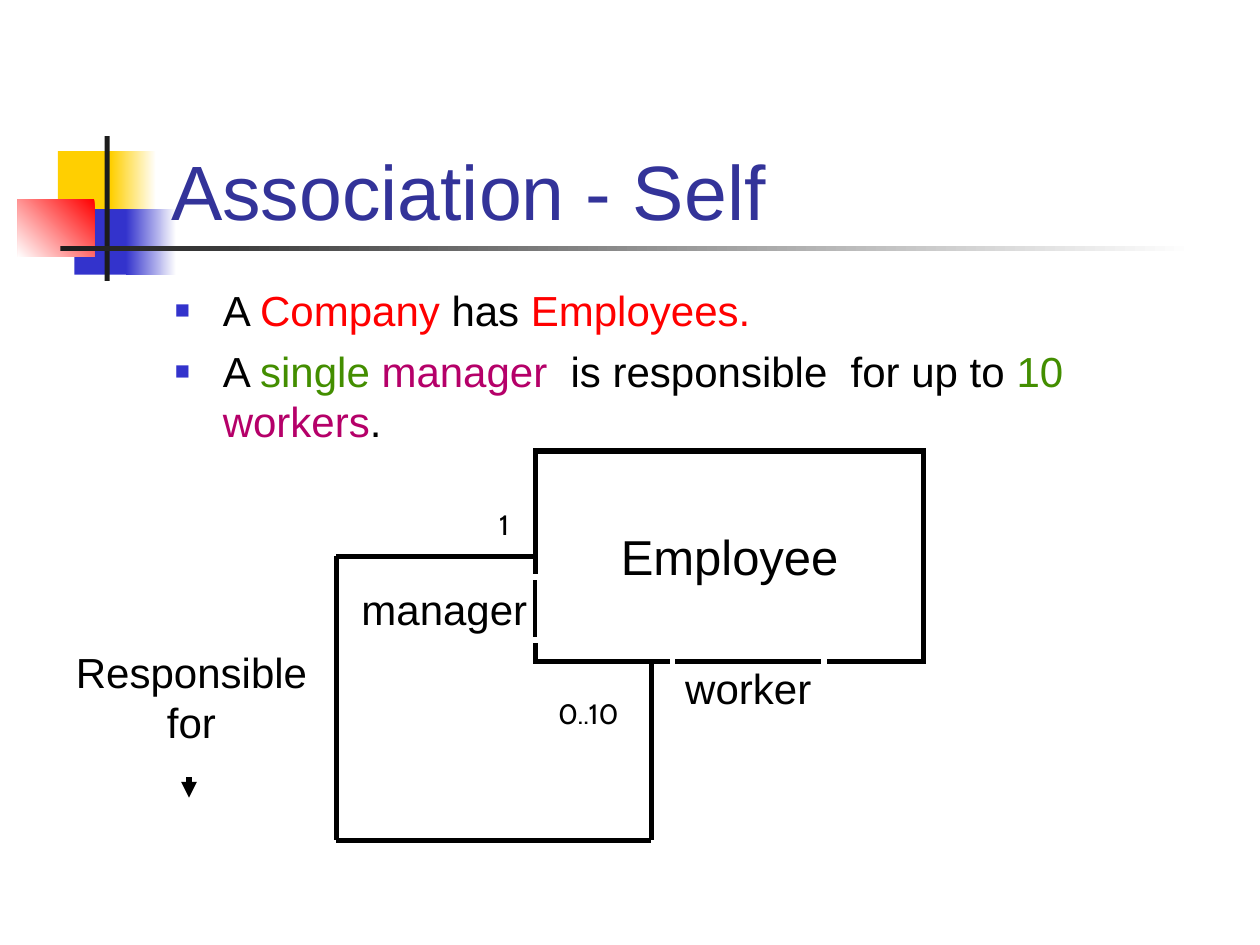
from lxml import etree
from pptx import Presentation
from pptx.dml.color import RGBColor
from pptx.enum import shapes, text
from pptx.oxml.ns import qn
from pptx.util import Inches, Pt

BLACK, WHITE, RED = "000000", "FFFFFF", "FF0000"
BLUE, GOLD, DARK = "3333CC", "FFCF01", "1C1C1C"
GREEN, PINK = "438E00", "B50069"
MID, LEFT = text.PP_ALIGN.CENTER, text.PP_ALIGN.LEFT


def rgb(code):
    return RGBColor.from_string(code)


def add(parent, tag, **attrs):
    return etree.SubElement(parent, qn(tag), attrs)


def style(font, size, color, face="Arial"):
    font.size, font.name = Pt(size), face
    font.color.rgb = rgb(color)


def rect(slide, box, fill=None, line=None):
    """Add a rectangle; a pair of fill colours makes a left-to-right fade."""
    shape = slide.shapes.add_shape(
        shapes.MSO_SHAPE.RECTANGLE, *map(Inches, box))
    shape.shadow.inherit = False
    if fill is None:
        shape.fill.background()
    elif isinstance(fill, tuple):
        shape.fill.gradient()
        shape.fill.gradient_angle = 0
        for stop, color in zip(shape.fill.gradient_stops, fill):
            stop.color.rgb = rgb(color)
    else:
        shape.fill.solid()
        shape.fill.fore_color.rgb = rgb(fill)
    if line:
        shape.line.color.rgb = rgb(line)
        shape.line.width = Pt(3)
        add(shape.line._get_or_add_ln(), "a:miter", lim="800000")
    else:
        shape.line.fill.background()
    return shape


def textbox(slide, box):
    return slide.shapes.add_textbox(*map(Inches, box))


def write(shape, words, size, color=BLACK, face="Arial", align=MID,
          anchor=text.MSO_ANCHOR.TOP, wrap=False, grow=True):
    frame = shape.text_frame
    frame.text = words
    frame.word_wrap = wrap
    frame.vertical_anchor = anchor
    if grow:
        frame.auto_size = text.MSO_AUTO_SIZE.SHAPE_TO_FIT_TEXT
    for para in frame.paragraphs:
        para.alignment = align
        for run in para.runs:
            style(run.font, size, color, face)


def line(slide, start, end):
    link = slide.shapes.add_connector(
        shapes.MSO_CONNECTOR.STRAIGHT, *map(Inches, start + end))
    link.line.color.rgb = rgb(BLACK)
    link.line.width = Pt(3)
    add(link._element.spPr, "a:effectLst")
    return link


def emblem(slide, x, y):
    """Overlapping colour blocks with a cross of thin bars."""
    rect(slide, (x + 0.32, y + 0.12, 0.48, 0.52), GOLD)
    rect(slide, (x + 0.74, y + 0.12, 0.36, 0.52), (GOLD, WHITE))
    rect(slide, (x + 0.45, y + 0.58, 0.46, 0.52), BLUE)
    rect(slide, (x + 0.86, y + 0.58, 0.4, 0.52), (BLUE, WHITE))
    red = rect(slide, (x, y + 0.5, 0.61, 0.46), (RED, WHITE))
    red.fill.gradient_angle = 225
    rect(slide, (x + 0.69, y, 0.04, 1.15), DARK)
    rect(slide, (x + 0.34, y + 0.87, 9, 0.04), (DARK, WHITE))


def title(slide, box):
    write(textbox(slide, box), "Association - Self", 44, "333399", align=LEFT,
          anchor=text.MSO_ANCHOR.BOTTOM, wrap=True, grow=False)


def bullet(para):
    props = para._p.get_or_add_pPr()
    props.set("marL", str(Inches(0.38)))
    props.set("indent", str(-Inches(0.38)))
    add(add(props, "a:buClr"), "a:srgbClr", val=BLUE)
    add(props, "a:buSzPct", val="60000")
    add(props, "a:buFont", typeface="Arial")
    add(props, "a:buChar", char="■")


def body(slide, box):
    items = [
        [("A ", BLACK), ("Company ", RED), ("has ", BLACK),
         ("Employees.", RED)],
        [("A ", BLACK), ("single ", GREEN), ("manager  ", PINK),
         ("is responsible  for up to ", BLACK), ("10 ", GREEN),
         ("workers", PINK), (".", BLACK)],
    ]
    frame = textbox(slide, box).text_frame
    frame.word_wrap = True
    for i, item in enumerate(items):
        para = frame.add_paragraph() if i else frame.paragraphs[0]
        bullet(para)
        if i:
            para.space_before = Pt(6)
        for words, color in item:
            run = para.add_run()
            run.text = words
            style(run.font, 24, color)


def diagram(slide, x, y, w, h):
    """Employee class in the given box, with a loop back to itself."""
    staff = rect(slide, (x, y, w, h), WHITE, BLACK)
    write(staff, "Employee", 28, anchor=text.MSO_ANCHOR.MIDDLE, grow=False)

    left, right = x - 1.58, x + 0.92
    mid, base, low = y + h / 2, y + h, y + 3.09
    loop = [(x, mid), (left, mid), (left, low), (right, low), (right, base)]
    links = [line(slide, a, b) for a, b in zip(loop, loop[1:])]
    links[0].begin_connect(staff, 1)

    roles = [("manager", (x - 1.48, y + 1, 1.51, 0.5)),
             ("worker", (x + 1.09, y + 1.63, 1.2, 0.5))]
    for name, box in roles:
        role = rect(slide, box, line=WHITE)
        write(role, name, 24, align=LEFT, grow=False)
        role.text_frame.margin_right = Inches(0.05)

    counts = [("1", (x - 0.41, y + 0.4, 0.32, 0.37)),
              ("0..10", (x + 0.07, y + 1.9, 0.7, 0.37))]
    for count, box in counts:
        write(textbox(slide, box), count, 16, face="Cabin")


def duty(slide, x, y, w, h):
    """Name of the association, with its reading direction below."""
    write(textbox(slide, (x, y, w, h)), "Responsible\nfor", 24, wrap=True)
    arrow = line(slide, (x + 1, y + 1.09), (x + 1, y + 1.25))
    add(arrow.line._get_or_add_ln(), "a:tailEnd", type="triangle")


def main():
    deck = Presentation()
    deck.slide_width, deck.slide_height = Inches(10), Inches(7.5)
    slide = deck.slides.add_slide(deck.slide_layouts[6])
    emblem(slide, 0.14, 1.08)
    title(slide, (1.26, 0.67, 8.52, 1.25))
    body(slide, (1.29, 2.21, 8.5, 4.5))
    diagram(slide, 4.25, 3.58, 3.08, 1.67)
    duty(slide, 0.5, 5.08, 2.04, 0.9)
    deck.save("out.pptx")


if __name__ == "__main__":
    main()
